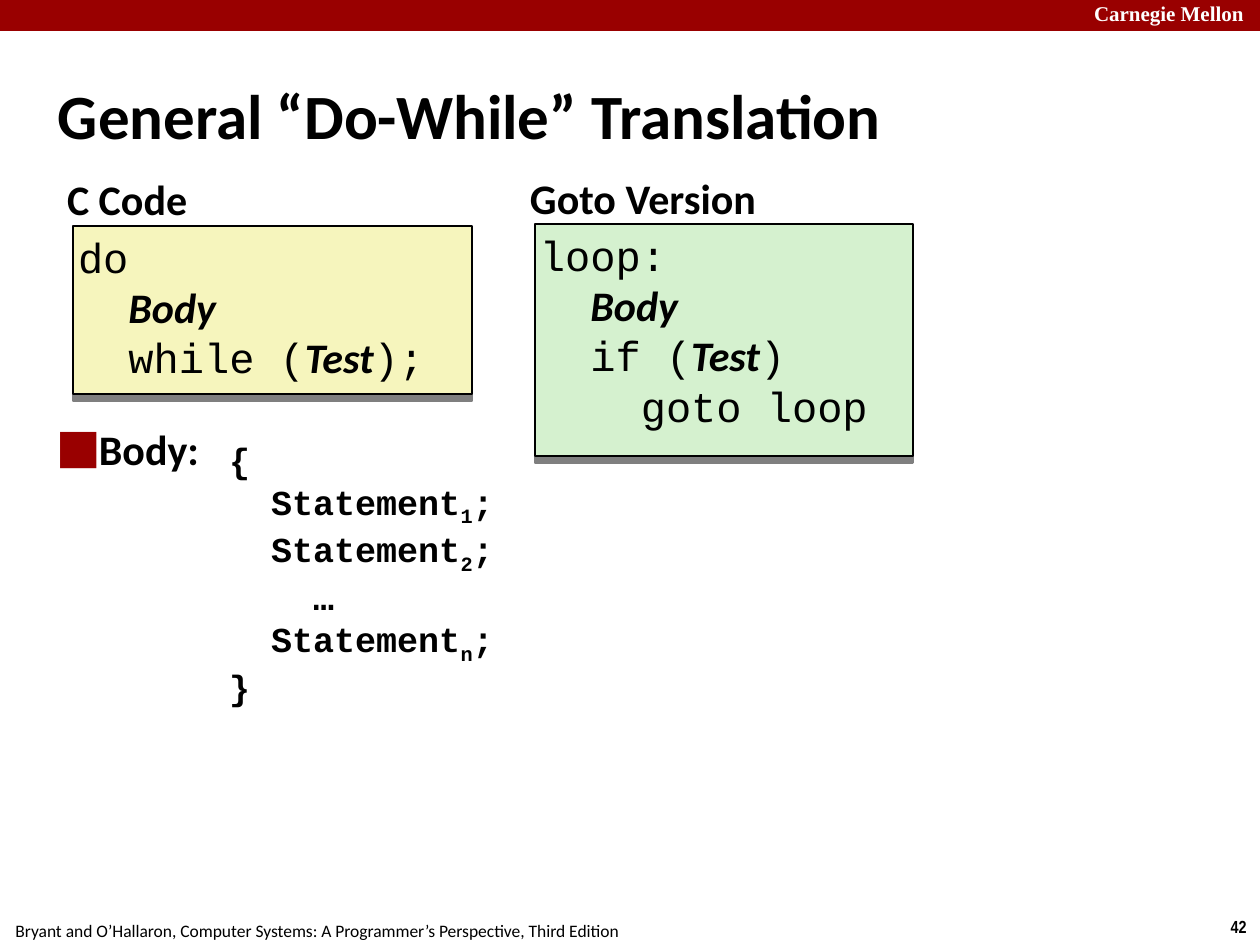
from dataclasses import dataclass

from lxml import etree
from pptx import Presentation
from pptx import util as u
from pptx.dml.color import RGBColor
from pptx.enum import shapes, text
from pptx.oxml.ns import qn

PX = 914400 / 126


@dataclass(frozen=True)
class Theme:
    sans: str = "Calibri"
    mono: str = "Courier New"
    serif: str = "Times New Roman"
    narrow: str = "Arial Narrow"
    ink: str = "000000"
    white: str = "FFFFFF"
    accent: str = "990000"
    yellow: str = "F6F5BD"
    green: str = "D5F1CF"
    title: int = 36
    main: int = 24
    block: int = 20
    brand: int = 12
    footer: int = 10


T = Theme()
TITLE = "General “Do-While” Translation"
BODY = "Body:"

# style suffixes: a term is set in bold italic sans, a sub is lowered
PANELS = [
    ("C Code", (62, 169, 360, 62), (73, 226, 399, 168), T.yellow, [
        [("do", "")],
        [("  ", ""), ("Body", "term")],
        [("  while (", ""), ("Test", "term"), (");", "")],
    ]),
    ("Goto Version", (525, 168, 319, 62), (535, 224, 378, 232), T.green, [
        [("loop:", "")],
        [("  ", ""), ("Body", "term")],
        [("  if (", ""), ("Test", "term"), (")", "")],
        [("    goto loop", "")],
    ]),
]


def statement(index):
    return [("  Statement", ""), (index, "sub"), (";", "")]


STATEMENTS = [
    [("{", "")],
    statement("1"),
    statement("2"),
    [("    …", "")],
    statement("n"),
    [("}", "")],
]


def px(*values):
    return [u.Emu(round(v * PX)) for v in values]


def frame(sp, inset=(5, 5), wrap=True, anchor=text.MSO_ANCHOR.TOP):
    tf = sp.text_frame
    tf.auto_size = text.MSO_AUTO_SIZE.NONE
    tf.word_wrap = wrap
    tf.vertical_anchor = anchor
    tf.margin_left, tf.margin_top = px(*inset)
    tf.margin_right, tf.margin_bottom = px(*inset)
    return tf


def style(r, font, size, bold=False, color=T.ink):
    r.font.name, r.font.size, r.font.bold = font, u.Pt(size), bold
    r.font.color.rgb = RGBColor.from_string(color)


def put_line(tf, words, font, size, bold=False, color=T.ink, align=text.PP_ALIGN.LEFT):
    tf.text = words
    p = tf.paragraphs[0]
    p.alignment = align
    p.space_before = u.Pt(0)
    style(p.runs[0], font, size, bold, color)
    return p


def put_code(tf, lines, size, bold=False):
    for i, line in enumerate(lines):
        p = tf.add_paragraph() if i else tf.paragraphs[0]
        p.alignment = text.PP_ALIGN.LEFT
        for words, kind in line:
            r = p.add_run()
            r.text = words
            term = kind == "term"
            style(r, T.sans if term else T.mono, size, bold or term)
            r.font.italic = term
            if kind == "sub":
                r.font._element.set("baseline", "-25000")


def add_box(s, at, fill):
    sp = s.shapes.add_shape(shapes.MSO_SHAPE.RECTANGLE, *px(*at))
    sp.shadow.inherit = False
    sp.fill.solid()
    sp.fill.fore_color.rgb = RGBColor.from_string(fill)
    sp.line.fill.background()
    return sp


def add_shadow(sp):
    effects = sp._element.spPr.find(qn("a:effectLst"))
    shadow = etree.SubElement(effects, qn("a:outerShdw"), dist=str(u.Pt(4)),
                              dir="5400000", algn="ctr", rotWithShape="0")
    color = etree.SubElement(shadow, qn("a:srgbClr"), val=T.ink)
    etree.SubElement(color, qn("a:alpha"), val="50000")


def add_bullet(p, char, color, indent):
    pPr = p._p.get_or_add_pPr()
    pPr.set("marL", str(indent))
    pPr.set("indent", str(-indent))
    tint = etree.SubElement(pPr, qn("a:buClr"))
    etree.SubElement(tint, qn("a:srgbClr"), val=color)
    etree.SubElement(pPr, qn("a:buChar"), char=char)


def place(sp, at):
    sp.left, sp.top, sp.width, sp.height = px(*at)


def main():
    prs = Presentation()
    prs.slide_width, prs.slide_height = u.Inches(10), u.Inches(7.5)
    s = prs.slides.add_slide(prs.slide_layouts[1])
    center, left = text.PP_ALIGN.CENTER, text.PP_ALIGN.LEFT

    add_box(s, (0, 0, 1260, 31), T.accent)
    for words, at, inset, look in [
        ("42", (1217, 910, 43, 34), (13, 6), (T.narrow, T.footer, True, T.ink, center)),
        ("Bryant and O’Hallaron, Computer Systems: A Programmer’s Perspective, Third Edition",
         (-3, 914, 640, 34), (13, 6), (T.sans, T.footer, False, T.ink, center)),
        ("Carnegie Mellon", (1089, -4, 181, 35), (5, 5),
         (T.serif, T.brand, True, T.white, left)),
    ]:
        put_line(frame(s.shapes.add_textbox(*px(*at)), inset, False), words, *look)

    place(s.shapes.title, (53, 35, 1155, 158))
    put_line(frame(s.shapes.title, anchor=text.MSO_ANCHOR.MIDDLE), TITLE, T.sans, T.title, True)

    body = s.placeholders[1]
    place(body, (53, 418, 1155, 523))
    p = put_line(frame(body), BODY, T.sans, T.main, True)
    add_bullet(p, "⬛", T.accent, px(35)[0])

    for label, label_at, box_at, fill, code in PANELS:
        put_line(frame(s.shapes.add_textbox(*px(*label_at))), label, T.sans, T.main, True)
        sp = add_box(s, box_at, fill)
        sp.line.color.rgb = RGBColor.from_string(T.ink)
        sp.line.width = u.Pt(1)
        add_shadow(sp)
        put_code(frame(sp), code, T.main)

    block = s.shapes.add_textbox(*px(224, 433, 306, 311))
    put_code(frame(block), STATEMENTS, T.block, True)

    prs.save("out.pptx")


if __name__ == "__main__":
    main()
